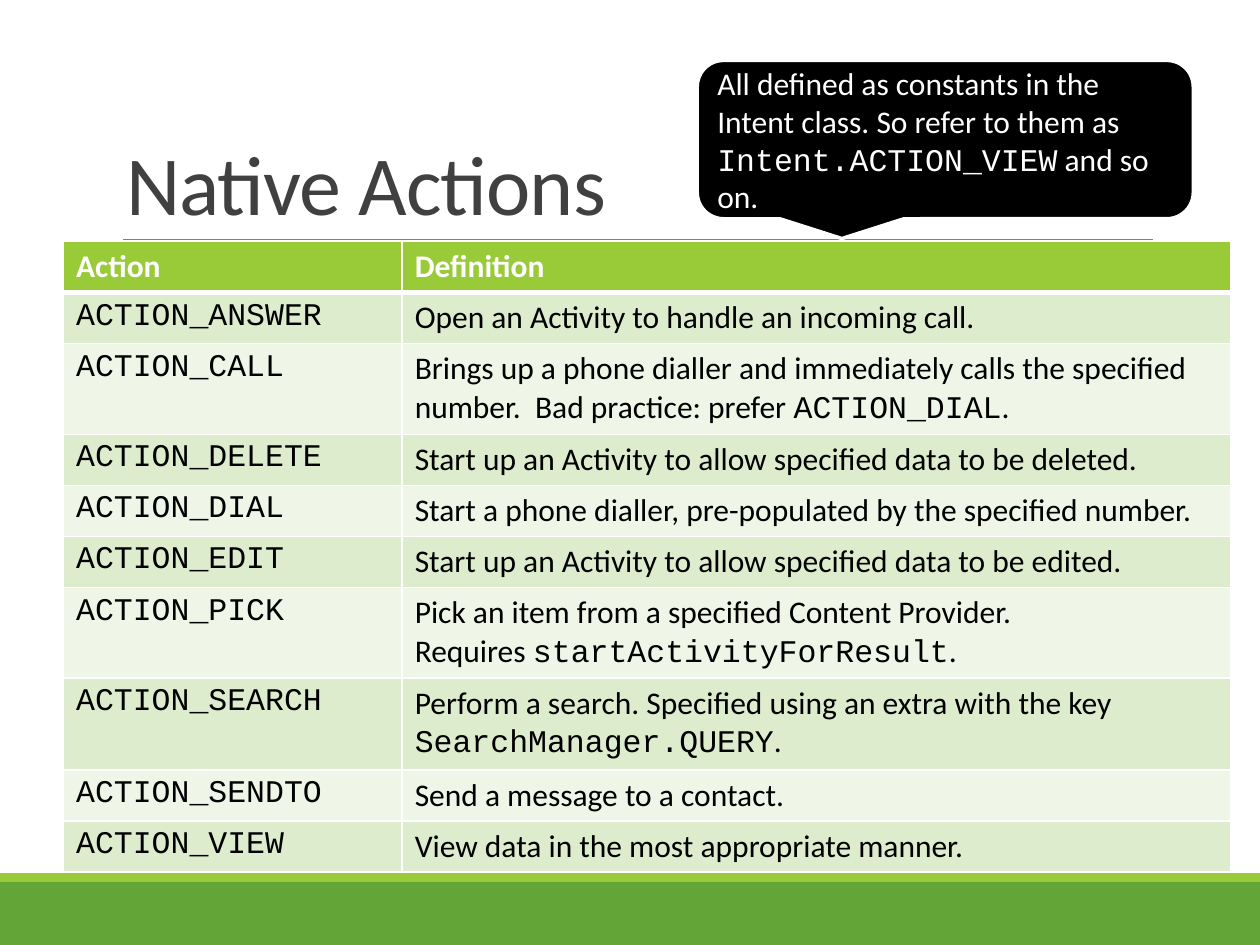
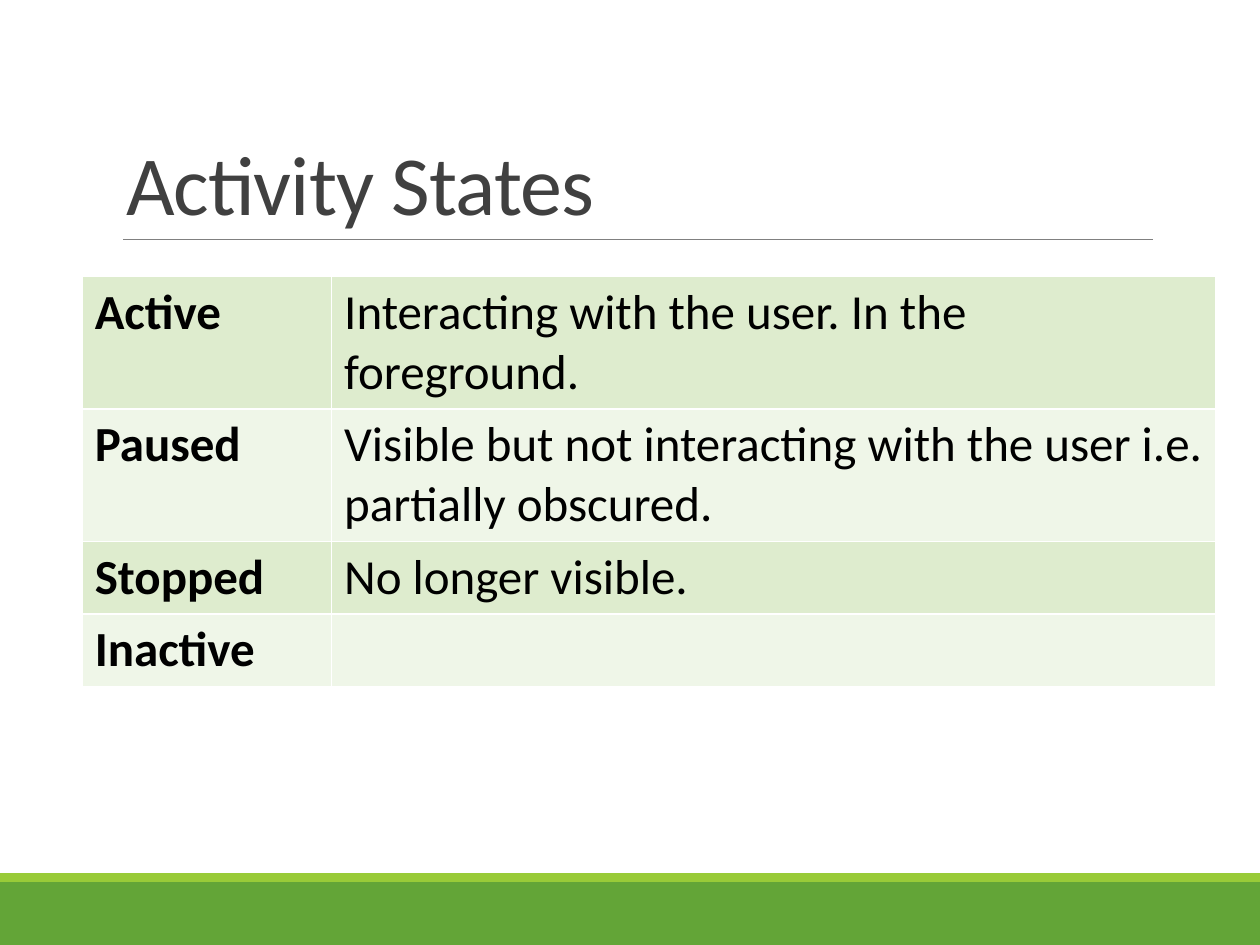
from lxml.etree import SubElement
from pptx import Presentation
from pptx.dml.color import RGBColor
from pptx.enum.shapes import MSO_CONNECTOR, MSO_SHAPE
from pptx.enum.text import MSO_ANCHOR, MSO_AUTO_SIZE, PP_ALIGN
from pptx.oxml import parse_xml
from pptx.oxml.ns import nsdecls, qn
from pptx.util import Pt

WHITE = RGBColor(0xFF, 0xFF, 0xFF)
BLACK = RGBColor(0, 0, 0)
INK = RGBColor(0x40, 0x40, 0x40)
GRAY = RGBColor(0x80, 0x80, 0x80)
GREEN = RGBColor(0x63, 0xA5, 0x37)
LIME = RGBColor(0x99, 0xCB, 0x38)
TINTS = [RGBColor(0xDE, 0xEC, 0xCE), RGBColor(0xEF, 0xF6, 0xE8)]
FONT, MONO = "Calibri", "Courier New"
WIDE, HIGH = 720, 540

ACTIONS = [
    ("`ACTION_ANSWER`", "Open an Activity to handle an incoming call."),
    ("`ACTION_CALL`", "Brings up a phone dialler and immediately calls the specified "
     "number.  Bad practice: prefer `ACTION_DIAL`."),
    ("`ACTION_DELETE`", "Start up an Activity to allow specified data to be deleted."),
    ("`ACTION_DIAL`", "Start a phone dialler, pre-populated by the specified number."),
    ("`ACTION_EDIT`", "Start up an Activity to allow specified data to be edited."),
    ("`ACTION_PICK`", "Pick an item from a specified Content Provider.\n"
     "Requires `startActivityForResult`."),
    ("`ACTION_SEARCH`", "Perform a search. Specified using an extra with the key "
     "`SearchManager.QUERY`."),
    ("`ACTION_SENDTO`", "Send a message to a contact."),
    ("`ACTION_VIEW`", "View data in the most appropriate manner."),
]
STATES = [
    ("Active", "Interacting with the user. In the foreground."),
    ("Paused", "Visible but not interacting with the user i.e. partially obscured."),
    ("Stopped", "No longer visible."),
    ("Inactive", ""),
]


class Deck:
    def __init__(self):
        self.show = Presentation()
        self.show.slide_width, self.show.slide_height = Pt(WIDE), Pt(HIGH)
        self.slide = None

    def page(self, title):
        self.slide = self.show.slides.add_slide(self.show.slide_layouts[5])
        self.band(504, 36, GREEN)
        self.band(498.96, 5.04, LIME)
        self.rule(70.5, 136.8, 658.8)
        self.title(title)

    def shape(self, kind, left, top, width, height, fill):
        shape = self.slide.shapes.add_shape(kind, Pt(left), Pt(top), Pt(width), Pt(height))
        shape.shadow.inherit = False
        shape.fill.solid()
        shape.fill.fore_color.rgb = fill
        return shape

    def band(self, top, height, fill):
        self.shape(MSO_SHAPE.RECTANGLE, 0, top, WIDE, height, fill).line.fill.background()

    def rule(self, left, top, right):
        line = self.slide.shapes.add_connector(
            MSO_CONNECTOR.STRAIGHT, Pt(left), Pt(top), Pt(right), Pt(top))
        line.line.color.rgb = GRAY
        line.line.width = Pt(0.5)
        SubElement(line._element.spPr, qn("a:effectLst"))

    def title(self, text):
        box = self.slide.shapes.title
        box.left, box.top, box.width, box.height = Pt(64.8), Pt(22.5), Pt(594), Pt(114.3)
        frame = box.text_frame
        frame.word_wrap = True
        frame.auto_size = MSO_AUTO_SIZE.NONE
        frame.vertical_anchor = MSO_ANCHOR.BOTTOM
        self.words(frame, text, 48, INK)
        para = frame.paragraphs[0]
        para.line_spacing = 0.85
        para.runs[0].font._element.set("spc", "-50")

    def words(self, frame, text, size, color, bold=False):
        for row, line in enumerate(text.split("\n")):
            para = frame.add_paragraph() if row else frame.paragraphs[0]
            para.alignment = PP_ALIGN.LEFT
            for spot, part in enumerate(line.split("`")):
                if part:
                    run = para.add_run()
                    run.text = part
                    font = run.font
                    font.name = MONO if spot % 2 else FONT
                    font.size, font.bold = Pt(size), bold
                    font.color.rgb = color

    def bubble(self, left, top, width, height, text):
        shape = self.shape(MSO_SHAPE.ROUNDED_RECTANGULAR_CALLOUT,
                           left, top, width, height, BLACK)
        shape.line.color.rgb = WHITE
        shape.line.width = Pt(2)
        shape.text_frame.word_wrap = True
        shape.text_frame.vertical_anchor = MSO_ANCHOR.MIDDLE
        self.words(shape.text_frame, text, 18, WHITE)

    def edge(self, cell, top, base):
        props = cell._tc.get_or_add_tcPr()
        sides = [("L", 1), ("R", 1), ("T", top), ("B", base)]
        for spot, (side, width) in enumerate(sides):
            props.insert(spot, parse_xml(
                f'<a:ln{side} {nsdecls("a")} w="{Pt(width)}"><a:solidFill>'
                f'<a:srgbClr val="{WHITE}"/></a:solidFill></a:ln{side}>'))

    def table(self, left, top, widths, heights, rows, size, head=None, bold=False):
        lines = ([head] if head else []) + rows
        table = self.slide.shapes.add_table(
            len(lines), len(widths), Pt(left), Pt(top),
            Pt(sum(widths)), Pt(sum(heights))).table
        table.first_row = bool(head)
        for col, width in zip(table.columns, widths):
            col.width = Pt(width)
        for row, height in zip(table.rows, heights):
            row.height = Pt(height)
        start = 1 if head else 0
        for r, line in enumerate(lines):
            lead = r < start
            for c, text in enumerate(line):
                cell = table.cell(r, c)
                cell.fill.solid()
                cell.fill.fore_color.rgb = LIME if lead else TINTS[(r - start) % 2]
                self.edge(cell, 3 if head and r == 1 else 1, 3 if lead else 1)
                self.words(cell.text_frame, text, size, WHITE if lead else BLACK,
                           lead or (bold and c == 0))


def main():
    deck = Deck()
    deck.page("Native Actions")
    heights = [27.4] * 10
    heights[2] = heights[6] = 47.5
    heights[7] = 52.5
    deck.table(36.3, 138, [193.5, 473.7], heights, ACTIONS, 18,
               head=("Action", "Definition"))
    deck.bubble(398.4, 34.5, 283.5, 90.5,
                "All defined as constants in the Intent class. So refer to them as "
                "`Intent.ACTION_VIEW` and so on.")

    deck.page("Activity States")
    deck.table(47, 158, [142.5, 505.5], [29.5] * 4, STATES, 28, bold=True)
    deck.show.save("out.pptx")


if __name__ == "__main__":
    main()
